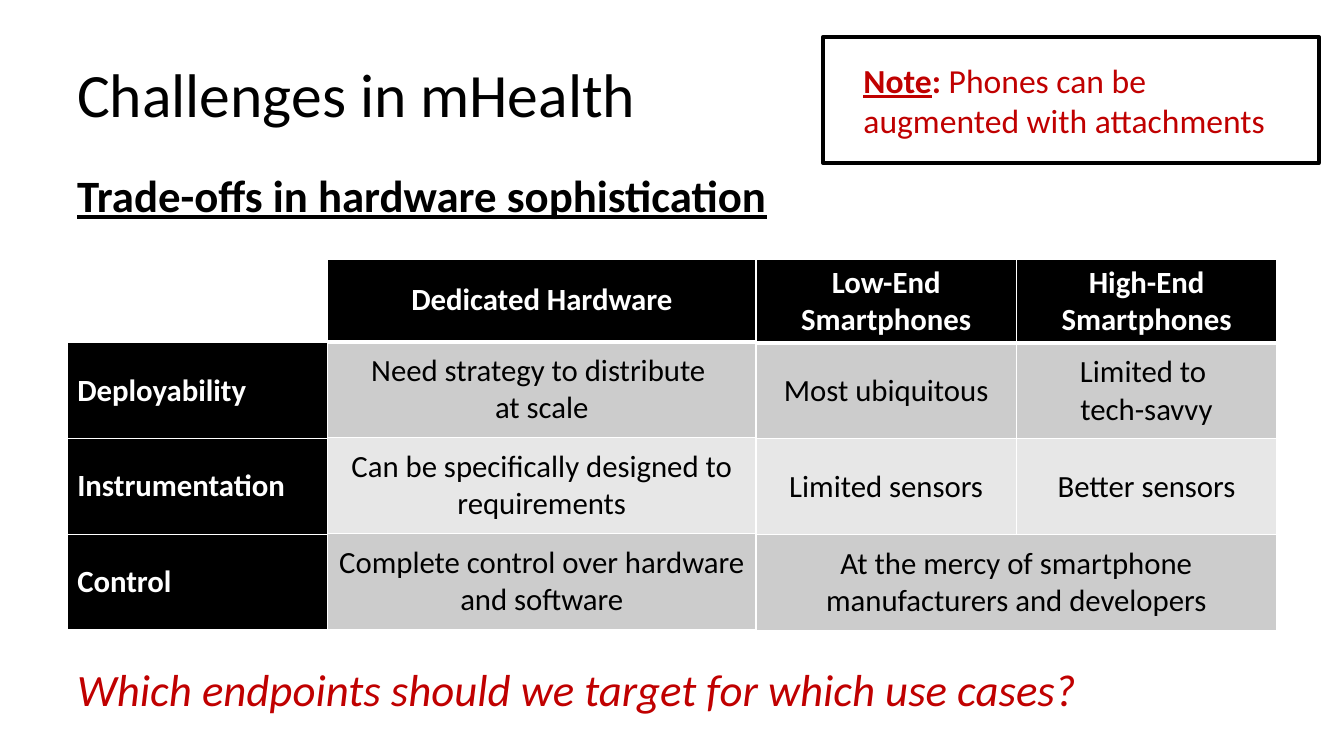
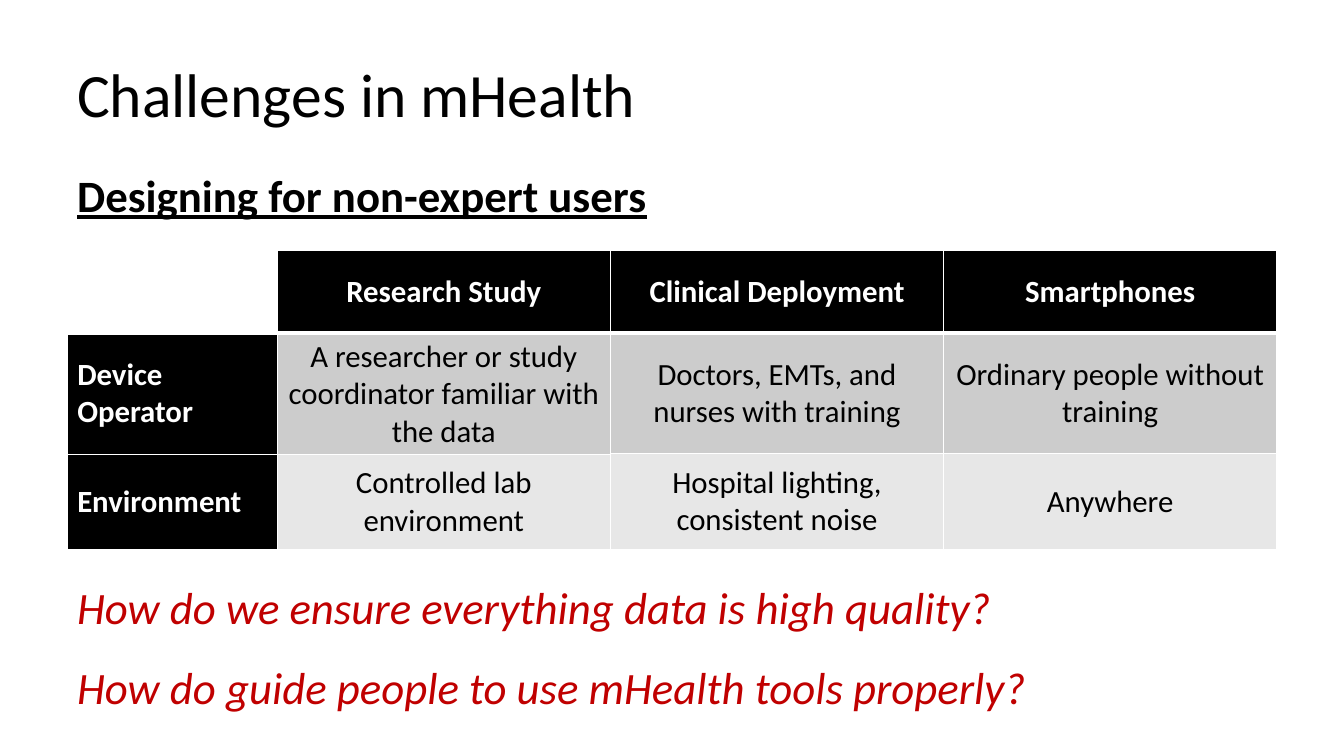
from dataclasses import dataclass

from lxml.etree import SubElement
from pptx import Presentation
from pptx.dml.color import RGBColor as Rgb
from pptx.enum.shapes import MSO_SHAPE as Shape
from pptx.enum.text import MSO_ANCHOR as Anchor, PP_ALIGN as Align
from pptx.oxml.ns import qn
from pptx.util import Pt


@dataclass(frozen=True)
class Theme:
    font: str = "Calibri"
    ink: str = "000000"
    paper: str = "FFFFFF"
    accent: str = "C00000"
    bands: tuple = ("CCCCCC", "E7E7E7")
    title_size: int = 44
    lead_size: int = 32
    note_size: int = 24
    cell_size: int = 22
    thin: int = 1
    thick: int = 3


class Deck:
    margin = 48
    content_width = 864

    def __init__(self, theme):
        self.theme = theme
        self.presentation = Presentation()
        self.presentation.slide_width = Pt(960)
        self.presentation.slide_height = Pt(540)
        self.slide = None

    def style(self, paragraph, size, color, **flags):
        font = paragraph.font
        font.name = self.theme.font
        font.size = Pt(size)
        font.color.rgb = Rgb.from_string(color)
        for flag, value in flags.items():
            setattr(font, flag, value)

    def text(self, top, height, lines, size, color, after=0, **flags):
        box = self.slide.shapes.add_textbox(
            Pt(self.margin), Pt(top), Pt(self.content_width), Pt(height))
        frame = box.text_frame
        frame.word_wrap = True
        frame.vertical_anchor = Anchor.MIDDLE
        for index, line in enumerate(lines):
            paragraph = frame.add_paragraph() if index else frame.paragraphs[0]
            paragraph.text = line
            if index:
                paragraph.space_before = Pt(6.4)
            if after:
                paragraph.space_after = Pt(after)
            self.style(paragraph, size, color, **flags)

    def new_slide(self, title, subtitle):
        layout = self.presentation.slide_layouts[6]
        self.slide = self.presentation.slides.add_slide(layout)
        theme = self.theme
        self.text(21.6, 90, [title], theme.title_size, theme.ink)
        self.text(103, 72, [subtitle], theme.lead_size, theme.ink,
                  bold=True, underline=True)

    def questions(self, top, height, lines, after=0):
        self.text(top, height, lines, self.theme.lead_size, self.theme.accent,
                  after, italic=True)

    def note(self, left, top, width, height, heading, message):
        theme = self.theme
        box = self.slide.shapes.add_shape(
            Shape.RECTANGLE, Pt(left), Pt(top), Pt(width), Pt(height))
        box.shadow.inherit = False
        box.fill.background()
        box.line.color.rgb = Rgb.from_string(theme.ink)
        box.line.width = Pt(theme.thick)
        frame = box.text_frame
        frame.word_wrap = True
        frame.vertical_anchor = Anchor.MIDDLE
        frame.margin_left = Pt(28.8)
        paragraph = frame.paragraphs[0]
        paragraph.alignment = Align.LEFT
        self.style(paragraph, theme.note_size, theme.accent)
        for words, bold, underline in (
                (heading, True, True), (": ", True, False), (message, False, False)):
            run = paragraph.add_run()
            run.text = words
            run.font.bold = bold
            run.font.underline = underline

    def borders(self, cell, top, bottom):
        properties = cell._tc.get_or_add_tcPr()
        thin = self.theme.thin
        for side, width in (("L", thin), ("R", thin), ("T", top), ("B", bottom)):
            edge = SubElement(properties, qn(f"a:ln{side}"), w=str(Pt(width)))
            fill = SubElement(edge, qn("a:solidFill"))
            SubElement(fill, qn("a:srgbClr"), val=self.theme.paper)

    def cell(self, cell, words, strong, centered, fill):
        theme = self.theme
        cell.vertical_anchor = Anchor.MIDDLE
        if not words:
            cell.fill.background()
            return
        cell.fill.solid()
        cell.fill.fore_color.rgb = Rgb.from_string(fill)
        paragraph = cell.text_frame.paragraphs[0]
        paragraph.text = words
        paragraph.alignment = Align.CENTER if centered else Align.LEFT
        self.style(paragraph, theme.cell_size,
                   theme.paper if strong else theme.ink, bold=strong)

    def table(self, left, top, widths, heights, rows, header=True, labels=False):
        theme = self.theme
        table = self.slide.shapes.add_table(
            len(rows), len(widths), Pt(left), Pt(top),
            Pt(sum(widths)), Pt(sum(heights))).table
        table.first_row = table.horz_banding = False
        for column, width in zip(table.columns, widths):
            column.width = Pt(width)
        for r, (row, height) in enumerate(zip(rows, heights)):
            table.rows[r].height = Pt(height)
            for c, words in enumerate(row):
                cell = table.cell(r, c)
                self.borders(cell,
                             theme.thick if header and r == 1 else theme.thin,
                             theme.thick if header and r == 0 else theme.thin)
                if words is None:
                    table.cell(r, c - 1).merge(cell)
                    continue
                is_label = labels and c == 0
                strong = is_label or (header and r == 0)
                fill = theme.ink if strong else theme.bands[(r - 1) % 2]
                self.cell(cell, words, strong, not is_label, fill)


def hardware_slide(deck):
    deck.new_slide("Challenges in mHealth", "Trade-offs in hardware sophistication")
    row = 68.4
    heights = [59.2] + [row] * 3
    top = 185
    label_width, dedicated_width = 186, 306
    dedicated_left = deck.margin + label_width
    deck.table(deck.margin, 244.8, [label_width], [row] * 3,
               [["Deployability"], ["Instrumentation"], ["Control"]],
               header=False, labels=True)
    deck.questions(455.8, 72, ["Which endpoints should we target for which use cases?"])
    deck.table(dedicated_left + dedicated_width, top, [label_width] * 2, heights, [
        ["Low-End Smartphones", "High-End Smartphones"],
        ["Most ubiquitous", "Limited to \vtech-savvy"],
        ["Limited sensors", "Better sensors"],
        ["At the mercy of smartphone manufacturers and developers", None],
    ])
    deck.table(dedicated_left, top, [dedicated_width], heights, [
        ["Dedicated Hardware"],
        ["Need strategy to distribute \vat scale"],
        ["Can be specifically designed to requirements"],
        ["Complete control over hardware and software"],
    ])
    deck.note(588, 26.4, 354, 90, "Note", "Phones can be augmented with attachments")


def users_slide(deck):
    deck.new_slide("Challenges in mHealth", "Designing for non-expert users")
    top = 178.6
    heights = [59.4, 86.2, 68.4]
    label_width, setting_width = 150, 238
    first_left = deck.margin + label_width
    deck.table(deck.margin, top, [label_width, setting_width], heights, [
        ["", "Research Study"],
        ["Device Operator", "A researcher or study coordinator familiar with the data"],
        ["Environment", "Controlled lab environment"],
    ], labels=True)
    deck.questions(401.8, 120, [
        "How do we ensure everything data is high quality?",
        "How do guide people to use mHealth tools properly?",
    ], after=12)
    settings = (
        ("Clinical Deployment", "Doctors, EMTs, and nurses with training",
         "Hospital lighting, consistent noise"),
        ("Smartphones", "Ordinary people without training", "Anywhere"),
    )
    for position, setting in enumerate(settings, start=1):
        deck.table(first_left + position * setting_width, top, [setting_width],
                   heights, [[words] for words in setting])


def main():
    deck = Deck(Theme())
    hardware_slide(deck)
    users_slide(deck)
    deck.presentation.save("out.pptx")


if __name__ == "__main__":
    main()
